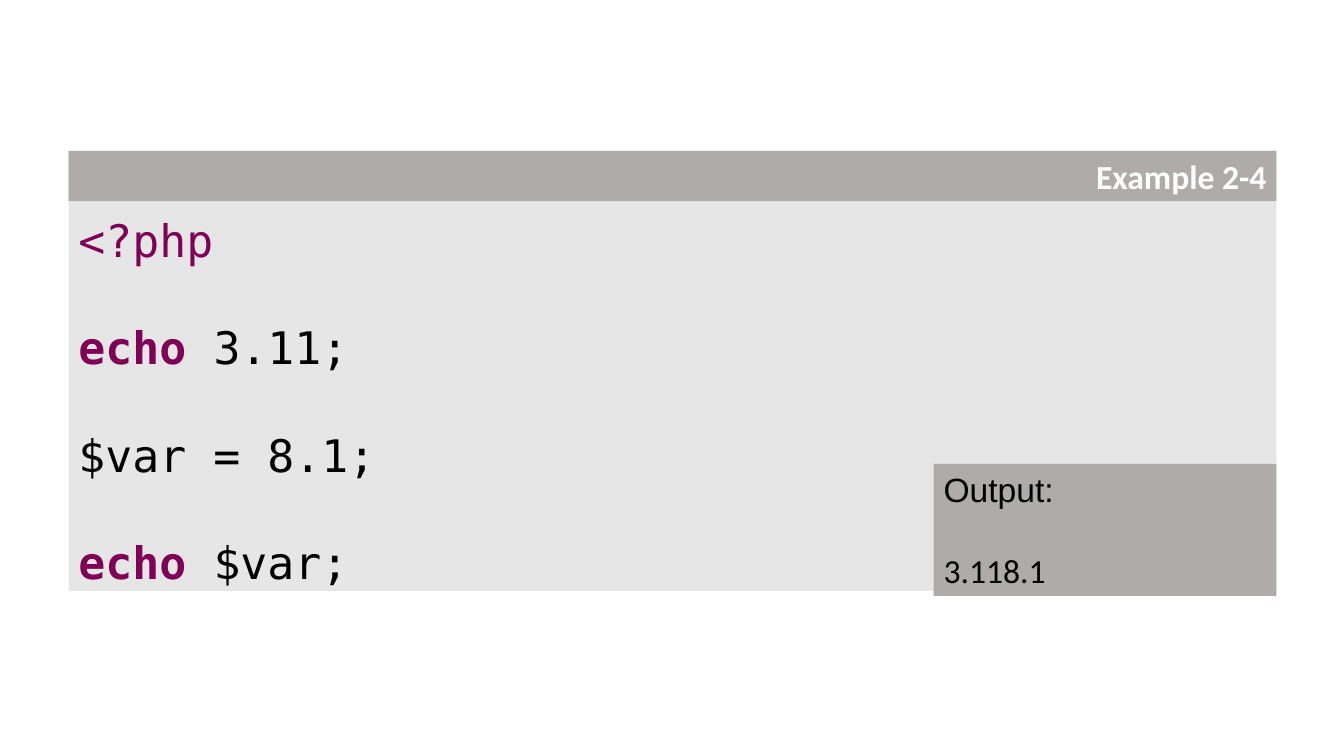
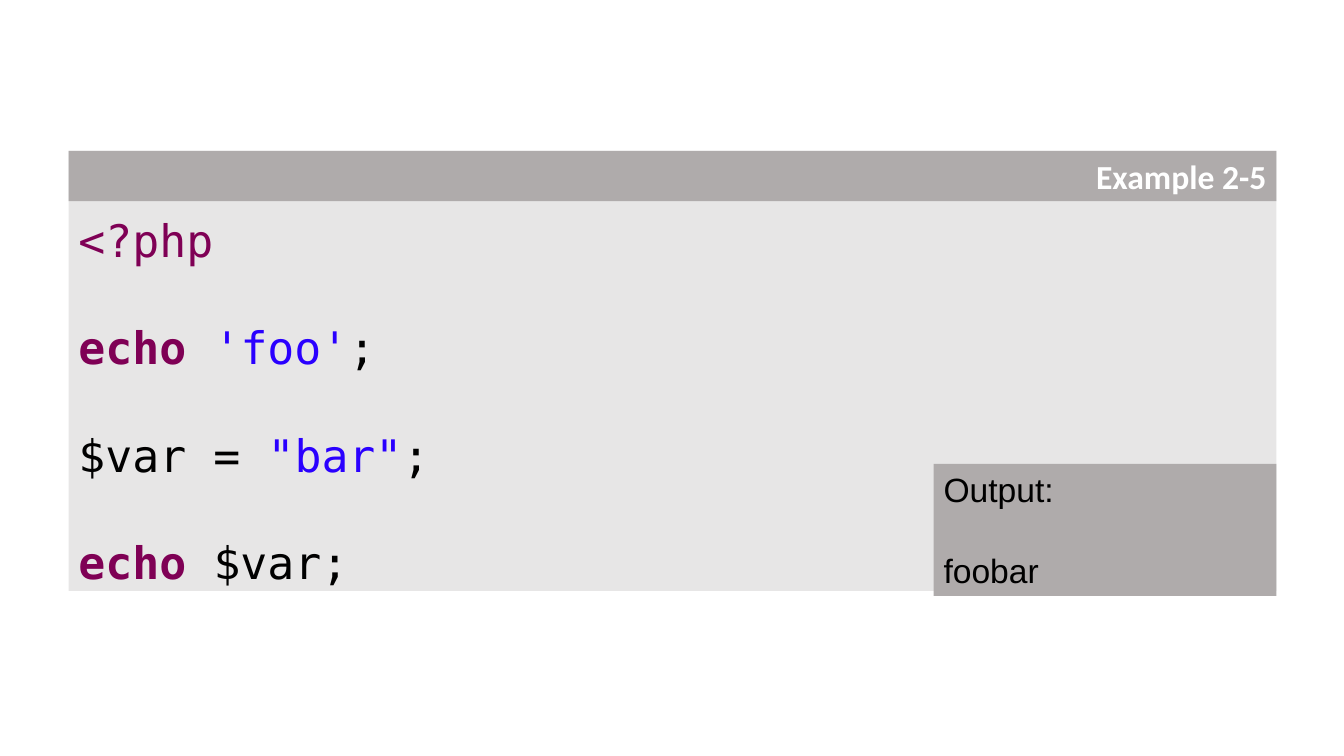
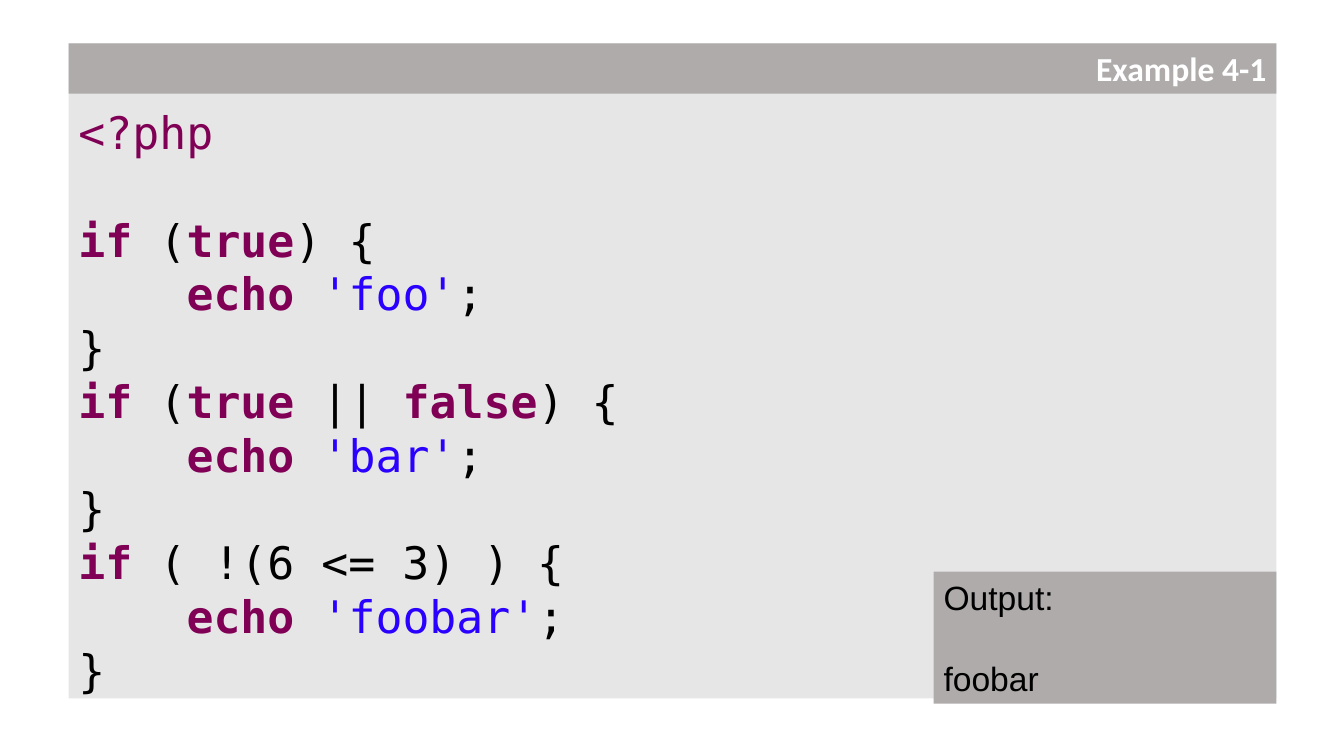
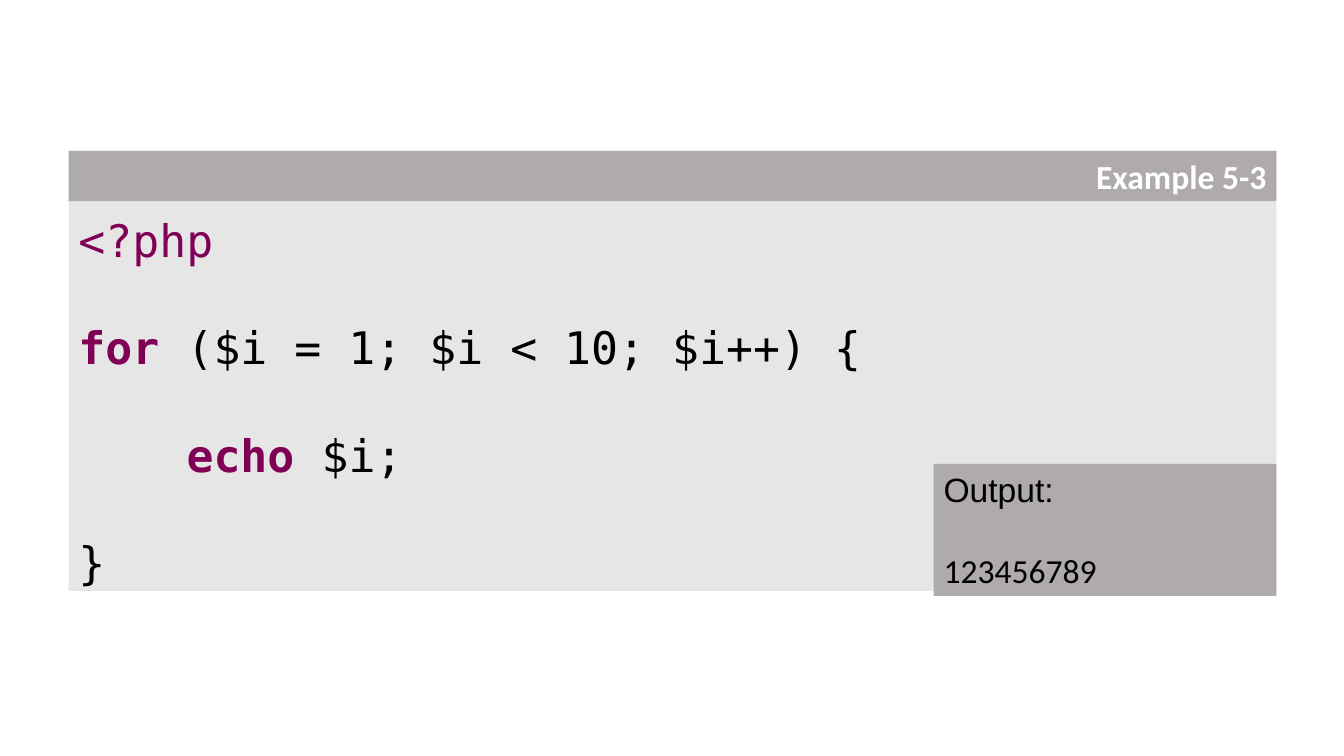
from dataclasses import dataclass

from pptx import Presentation
from pptx.dml.color import RGBColor
from pptx.enum.shapes import MSO_SHAPE
from pptx.enum.text import MSO_ANCHOR, PP_ALIGN
from pptx.util import Inches, Pt

RECTANGLE = MSO_SHAPE.RECTANGLE
TOP = MSO_ANCHOR.TOP
LEFT, RIGHT = PP_ALIGN.LEFT, PP_ALIGN.RIGHT

# Shared colours and fonts
PANEL, BAND = "E7E6E6", "AFABAB"
BLACK, WHITE = "000000", "FFFFFF"
PURPLE, BLUE = "7F0055", "2A00FF"
MONO, SANS, HEADING = "DejaVu Sans Mono", "Arial", "Calibri"

# Shared layout, in inches
PANEL_LEFT, PANEL_WIDTH = 0.68, 11.98
PANEL_MIDDLE = 3.68
BAND_HEIGHT = 0.5
OUTPUT_WIDTH, OUTPUT_HEIGHT = 3.4, 1.31
OUTPUT_OVERHANG = 0.05
CODE_TOP_INSET = 0.61

# Shared text measures, in points
CODE_SIZE, CODE_PITCH = 32, 38.4
LABEL_SIZE, OUTPUT_GAP = 24, 29


@dataclass(frozen=True)
class Token:
    text: str
    color: str = BLACK
    bold: bool = False
    font: str = MONO
    size: float = CODE_SIZE


@dataclass(frozen=True)
class Line:
    tokens: list[Token]
    gap: bool = False  # an empty line's height above


@dataclass(frozen=True)
class Example:
    number: str
    code: list[Line]
    output: str
    output_font: str = SANS


def keyword(text: str) -> Token:
    return Token(text, PURPLE, True)


def string(text: str) -> Token:
    return Token(text, BLUE)


def label(text: str, font: str, color: str = BLACK, bold: bool = False) -> Token:
    return Token(text, color, bold, font, LABEL_SIZE)


def echo_string(text: str, indent: str = "", gap: bool = False) -> Line:
    start = [Token(indent)] if indent else []
    return Line([*start, keyword("echo "), string(text), Token(";")], gap)


INDENT = "    "
OPENING = Line([Token("<?php", PURPLE)])
CLOSING = Line([Token("}")])
ECHO_VARIABLE = Line([keyword("echo"), Token(" $var;")], True)

EXAMPLES = [
    Example("2-4", [
        OPENING,
        Line([keyword("echo"), Token(" 3.11;")], True),
        Line([Token("$var = 8.1;")], True),
        ECHO_VARIABLE,
    ], "3.118.1", HEADING),
    Example("2-5", [
        OPENING,
        echo_string("'foo'", gap=True),
        Line([Token("$var = "), string('"bar"'), Token(";")], True),
        ECHO_VARIABLE,
    ], "foobar"),
    Example("4-1", [
        OPENING,
        Line([keyword("if"), Token(" ("), keyword("true"), Token(") {")], True),
        echo_string("'foo'", INDENT),
        CLOSING,
        Line([keyword("if"), Token(" ("), keyword("true"), Token(" || "),
              keyword("false"), Token(") {")]),
        echo_string("'bar'", INDENT),
        CLOSING,
        Line([keyword("if"), Token(" ( !(6 <= 3) ) {")]),
        echo_string("'foobar'", INDENT),
        CLOSING,
    ], "foobar"),
    Example("5-3", [
        OPENING,
        Line([keyword("for "), Token("($i = 1; $i < 10; $i++) {")], True),
        Line([Token(INDENT), keyword("echo "), Token("$i;")], True),
        Line([Token("}")], True),
    ], "123456789", HEADING),
]


def rgb(color: str) -> RGBColor:
    return RGBColor.from_string(color)


def add_panel(slide, left: float, top: float, width: float, height: float, color: str):
    """Draw a flat rectangle with top-anchored text."""
    shape = slide.shapes.add_shape(
        RECTANGLE, Inches(left), Inches(top), Inches(width), Inches(height))
    shape.shadow.inherit = False
    shape.fill.solid()
    shape.fill.fore_color.rgb = rgb(color)
    shape.line.fill.background()
    shape.text_frame.word_wrap = True
    shape.text_frame.vertical_anchor = TOP
    return shape


def write_lines(shape, lines: list[Line], gap: float,
                alignment=LEFT, pitch: float | None = None) -> None:
    frame = shape.text_frame
    for index, line in enumerate(lines):
        paragraph = frame.add_paragraph() if index else frame.paragraphs[0]
        paragraph.alignment = alignment
        if pitch:
            paragraph.line_spacing = Pt(pitch)
        if line.gap:
            paragraph.space_before = Pt(gap)
        for token in line.tokens:
            run = paragraph.add_run()
            run.text = token.text
            run.font.name = token.font
            run.font.size = Pt(token.size)
            run.font.bold = token.bold
            run.font.color.rgb = rgb(token.color)


def add_example(presentation, example: Example) -> None:
    slide = presentation.slides.add_slide(presentation.slide_layouts[6])

    # Code panel: one row under the band, then the code and its gaps
    rows = 1 + len(example.code) + sum(line.gap for line in example.code)
    height = rows * CODE_PITCH / 72 + 0.1
    top = PANEL_MIDDLE - height / 2
    panel = add_panel(slide, PANEL_LEFT, top, PANEL_WIDTH, height, PANEL)
    panel.text_frame.margin_top = Inches(CODE_TOP_INSET)
    write_lines(panel, example.code, CODE_PITCH, pitch=CODE_PITCH)

    # Output box in the lower right corner
    right, bottom = PANEL_LEFT + PANEL_WIDTH, top + height + OUTPUT_OVERHANG
    output = add_panel(slide, right - OUTPUT_WIDTH, bottom - OUTPUT_HEIGHT,
                       OUTPUT_WIDTH, OUTPUT_HEIGHT, BAND)
    write_lines(output, [
        Line([label("Output:", SANS)]),
        Line([label(example.output, example.output_font)], True),
    ], OUTPUT_GAP)

    # Heading band
    band = add_panel(slide, PANEL_LEFT, top, PANEL_WIDTH, BAND_HEIGHT, BAND)
    heading = label(f"Example {example.number}", HEADING, WHITE, True)
    write_lines(band, [Line([heading])], 0, RIGHT)


def main() -> None:
    presentation = Presentation()
    presentation.slide_width = Inches(13.33)
    presentation.slide_height = Inches(7.5)
    for example in EXAMPLES:
        add_example(presentation, example)
    presentation.save("out.pptx")


if __name__ == "__main__":
    main()
